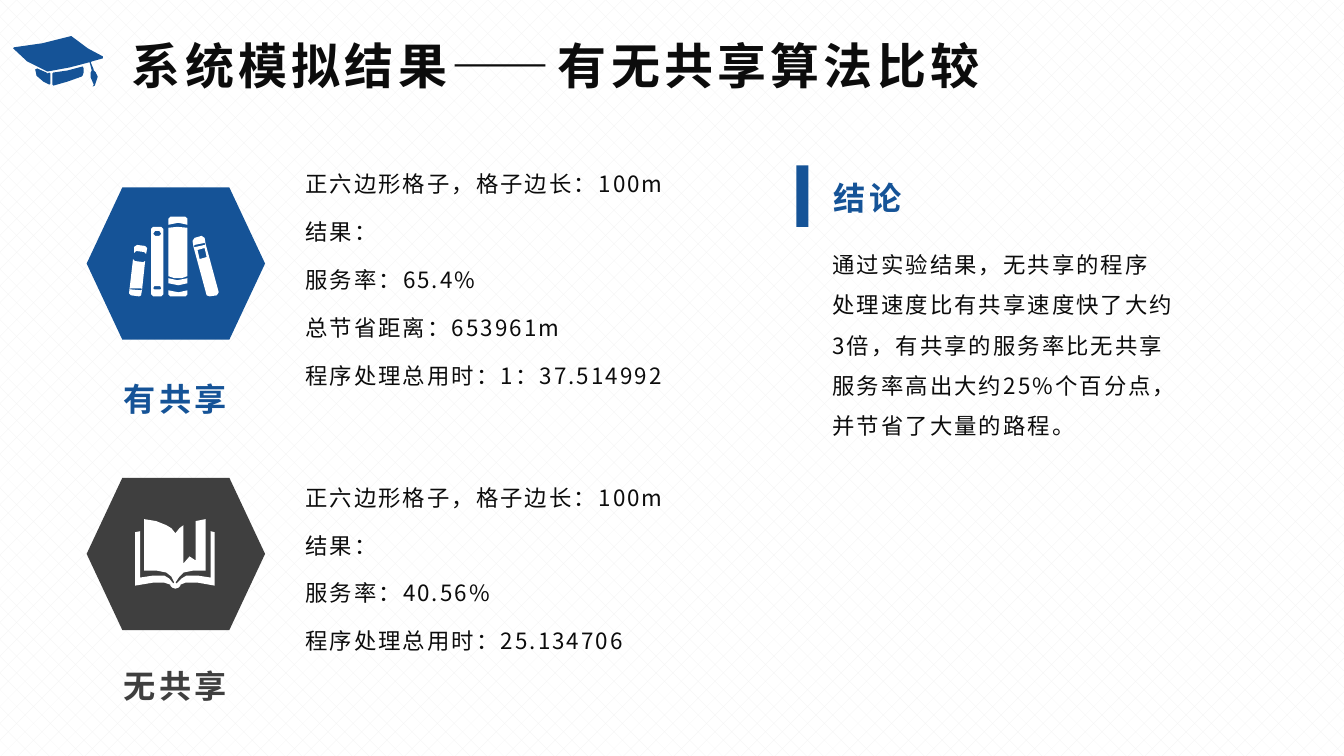
from dataclasses import dataclass

from lxml.etree import SubElement
from pptx import Presentation
from pptx.dml.color import RGBColor as Rgb
from pptx.enum.dml import MSO_PATTERN as Pattern
from pptx.enum.shapes import MSO_SHAPE as Preset
from pptx.enum.text import MSO_ANCHOR as Anchor, PP_ALIGN as Align
from pptx.oxml.ns import qn
from pptx.util import Inches, Pt


@dataclass(frozen=True)
class Theme:
    """Colours, font and type sizes of the slide."""
    blue: str = "155397"
    grey: str = "3F3F3F"
    ink: str = "0C0C0C"
    white: str = "FFFFFF"
    weave: str = "F2F2F2"
    font: str = "Noto Sans CJK SC"
    title: int = 35
    heading: int = 23
    body: int = 16
    leading: float = 1.2


THEME = Theme()
COLUMNS, ROWS, CELL = 133.33, 75, Inches(0.1)

TITLE = dict(size=THEME.title, color=THEME.ink, bold=True, tracking=300)
BODY = dict(size=THEME.body, color=THEME.ink, bold=False, tracking=150)
HEADING = dict(size=THEME.heading, color=THEME.blue, bold=True, tracking=250)

CAP = [
    [(50, 83), (50, 73), (49, 72), (47, 73), (46, 72), (37, 68), (35, 69),
     (36, 74), (36, 75), (43, 81), (49, 84)],
    [(93, 69), (93, 70), (95, 72), (97, 76), (94, 85), (92, 86), (93, 84),
     (90, 77), (90, 73), (90, 72), (91, 70), (89, 62), (88, 62), (69, 67),
     (47, 71), (27, 61), (13, 48), (14, 47), (42, 43), (70, 36), (71, 36),
     (87, 48), (102, 56), (102, 58), (91, 61), (90, 62)],
    [(82, 66), (83, 68), (83, 72), (82, 75), (81, 76), (67, 81), (53, 85),
     (52, 84), (52, 73), (53, 72), (67, 70)],
]
BOOKS = [
    [(144, 244), (136, 243), (133, 245), (133, 251), (135, 249), (143, 250),
     (145, 252), (146, 246)],
    [(142, 260), (134, 259), (132, 257), (128, 291), (130, 293), (138, 294),
     (140, 293), (141, 287), (140, 288), (129, 287), (129, 286), (140, 286),
     (141, 287), (144, 259)],
    [(160, 225), (152, 225), (150, 227), (150, 292), (152, 294), (160, 294),
     (162, 292), (162, 227)],
    [(159, 287), (153, 287), (152, 286), (153, 284), (159, 284), (160, 286)],
    [(158, 234), (154, 234), (152, 232), (154, 229), (158, 229), (160, 232)],
    [(184, 215), (169, 215), (167, 217), (167, 223), (177, 221), (186, 223),
     (186, 217)],
    [(167, 226), (167, 274), (173, 276), (180, 276), (186, 274), (186, 226),
     (176, 225)],
    [(167, 276), (167, 281), (177, 283), (186, 281), (186, 276), (176, 278)],
    [(167, 288), (167, 292), (169, 294), (184, 294), (186, 292), (186, 288),
     (177, 290)],
    [(203, 241), (204, 242), (203, 236), (200, 234), (193, 236), (191, 239),
     (192, 245), (193, 243)],
    [(204, 242), (203, 243), (194, 245), (192, 245), (205, 293), (208, 294),
     (215, 293), (217, 290)],
    [(198, 257), (196, 248), (203, 246), (205, 255)],
]
OPEN_BOOK = [
    [(169, 580), (169, 581), (171, 583), (174, 584), (177, 583), (179, 581),
     (179, 580), (184, 578), (196, 578), (213, 581), (213, 528), (209, 527),
     (209, 573), (196, 571), (185, 571), (180, 574), (175, 579), (174, 578),
     (178, 572), (182, 568), (192, 566), (204, 566), (204, 515), (194, 517),
     (194, 556), (188, 552), (182, 559), (182, 521), (178, 524), (174, 529),
     (170, 524), (165, 521), (155, 517), (143, 515), (143, 566), (155, 566),
     (165, 568), (170, 572), (173, 578), (172, 579), (168, 574), (163, 571),
     (152, 571), (139, 573), (139, 527), (134, 528), (134, 581), (152, 578),
     (163, 578)],
]


class SlidePainter:
    """Draws themed elements on the current slide, measured in grid cells."""

    def __init__(self, deck, theme):
        """Add a blank page with the woven background."""
        self.theme = theme
        self.page = deck.slides.add_slide(deck.slide_layouts[6])
        fill = self.page.background.fill
        fill.patterned()
        fill.pattern = Pattern.DIAGONAL_BRICK
        fill.fore_color.rgb = Rgb.from_string(theme.weave)
        fill.back_color.rgb = Rgb.from_string(theme.white)

    def paint(self, shape, color):
        """Give a shape a flat fill without outline or shadow."""
        shape.shadow.inherit = False
        shape.fill.solid()
        shape.fill.fore_color.rgb = Rgb.from_string(color)
        shape.line.fill.background()

    def preset(self, kind, area, color):
        """Add a preset shape over a grid area."""
        bounds = [round(cells * CELL) for cells in area]
        self.paint(self.page.shapes.add_shape(kind, *bounds), color)

    def icon(self, outlines, color):
        """Add one outline shape from points in tenths of a cell."""
        first, *others = outlines
        builder = self.page.shapes.build_freeform(*first[0], scale=CELL / 10)
        builder.add_line_segments(first[1:], close=True)
        for outline in others:
            builder.move_to(*outline[0])
            builder.add_line_segments(outline[1:], close=True)
        self.paint(builder.convert_to_shape(), color)

    def text(self, lines, area, look, spacing=1, **layout):
        """Add a text box with one paragraph per line."""
        bounds = [round(cells * CELL) for cells in area]
        frame = self.page.shapes.add_textbox(*bounds).text_frame
        frame.word_wrap = layout.get("wrap", True)
        frame.vertical_anchor = layout.get("anchor", Anchor.TOP)
        leading = Pt(look["size"] * self.theme.leading * spacing)
        for index, line in enumerate(lines):
            para = frame.add_paragraph() if index else frame.paragraphs[0]
            form = dict(alignment=layout.get("align", Align.LEFT),
                        line_spacing=leading,
                        space_after=Pt(layout.get("after", 0)))
            for name, value in form.items():
                setattr(para, name, value)
            self.span(para, line, look)

    def span(self, para, words, look):
        """Add a styled run to a paragraph."""
        span = para.add_run()
        span.text = words
        form = dict(name=self.theme.font, size=Pt(look["size"]), bold=look["bold"])
        for name, value in form.items():
            setattr(span.font, name, value)
        span.font.color.rgb = Rgb.from_string(look["color"])
        marks = span._r.get_or_add_rPr()
        for name, value in dict(lang="zh-CN", spc=str(look["tracking"])).items():
            marks.set(name, value)
        SubElement(marks, qn("a:ea")).set("typeface", self.theme.font)

    def case(self, label, color, tops, icon, results, area):
        """Add one compared case: hexagon, icon, label and results."""
        hexagon_top, label_top = tops
        self.preset(Preset.FLOWCHART_PREPARATION, (8.6, hexagon_top, 17.7, 15.1), color)
        self.icon(icon, self.theme.white)
        self.text([label], (11.1, label_top, 12.6, 4.9), {**HEADING, "color": color},
                  align=Align.CENTER, wrap=False)
        self.text(results, area, BODY, after=15, anchor=Anchor.MIDDLE)


def main():
    """Build and save the comparison slide."""
    deck = Presentation()
    deck.slide_width, deck.slide_height = round(COLUMNS * CELL), ROWS * CELL
    painter = SlidePainter(deck, THEME)
    painter.icon(CAP, THEME.blue)
    painter.text(["系统模拟结果——有无共享算法比较"], (12.1, 3, 95.5, 6.9), TITLE)
    painter.case("有共享", THEME.blue, (18.6, 37.1), BOOKS,
                 ["正六边形格子，格子边长：100m", "结果：", "服务率：65.4%",
                  "总节省距离：653961m", "程序处理总用时：1：37.514992"],
                 (29.3, 16.3, 41.6, 22.9))
    painter.case("无共享", THEME.grey, (47.4, 65.6), OPEN_BOOK,
                 ["正六边形格子，格子边长：100m", "结果：", "服务率：40.56%",
                  "程序处理总用时：25.134706"],
                 (29.3, 47.4, 41.6, 18.1))
    painter.preset(Preset.RECTANGLE, (79, 16.4, 1.2, 6.1), THEME.blue)
    painter.text(["结论"], (81.7, 17.2, 9.1, 4.9), HEADING, wrap=False)
    painter.text(["通过实验结果，无共享的程序处理速度比有共享速度快了大约3倍，"
                  "有共享的服务率比无共享服务率高出大约25%个百分点，并节省了大量的路程。"],
                 (81.6, 23.1, 35.8, 21.2), BODY, spacing=1.5)
    deck.save("out.pptx")


if __name__ == "__main__":
    main()
